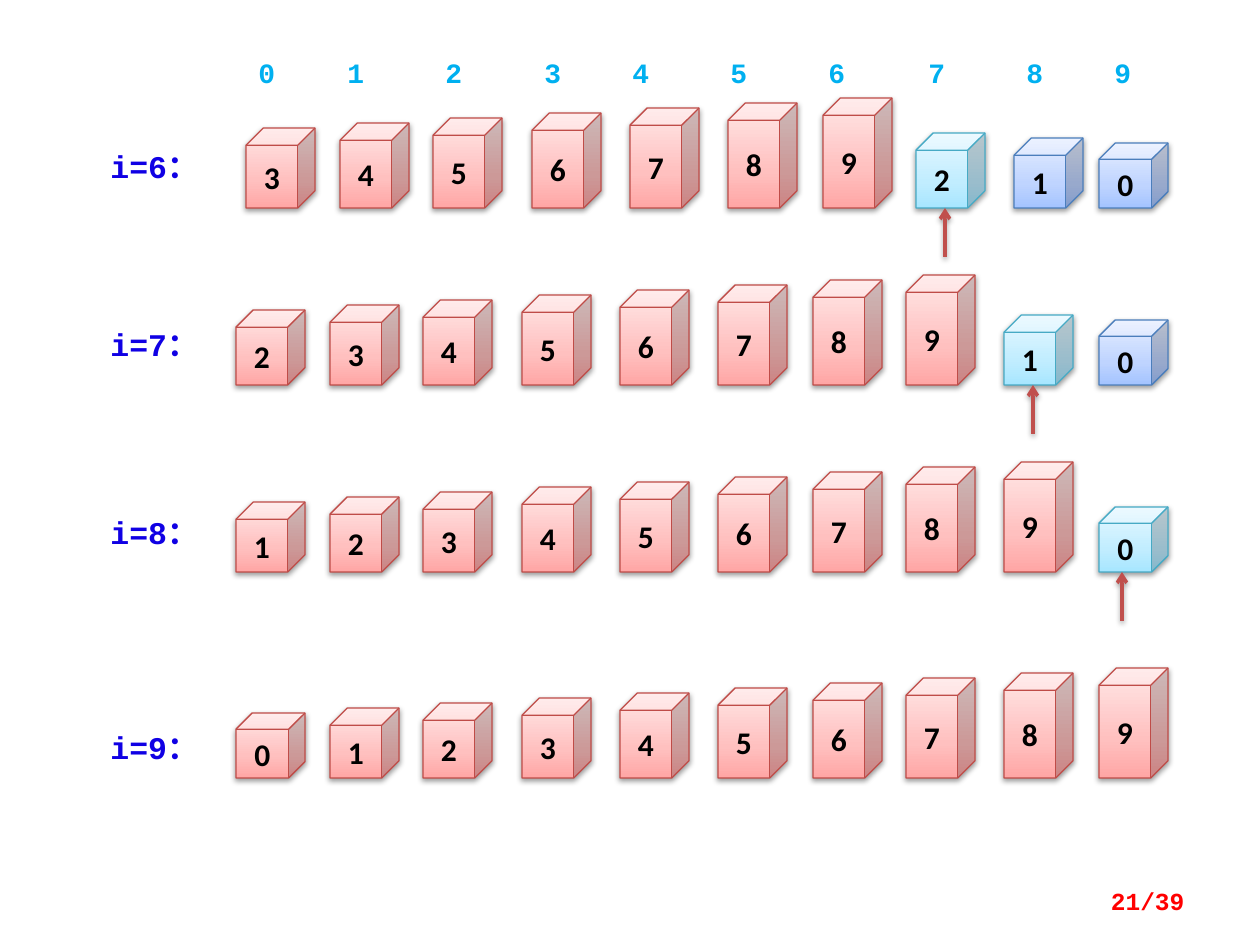
from dataclasses import dataclass

from pptx import Presentation
from pptx.dml.color import RGBColor
from pptx.enum.shapes import MSO_CONNECTOR, MSO_SHAPE
from pptx.enum.text import MSO_ANCHOR, MSO_AUTO_SIZE, PP_ALIGN
from pptx.oxml import parse_xml
from pptx.oxml.ns import nsdecls
from pptx.slide import Slide
from pptx.text.text import TextFrame
from pptx.util import Emu, Pt

EMU_PER_PX = 914400 / 126
COLORS = {
    "index": "00B0F0",
    "label": "1000E4",
    "digit": "000000",
    "page_number": "FF0000",
    "arrow": "C0504D",
    "shadow": "000000",
}
CUBE_COLORS = {
    "sorted": {"line": "BF4C48", "stops": ("FFA6A5", "FFC0BF", "FFE7E7")},
    "current": {"line": "46AAC5", "stops": ("A7E6FF", "C1EDFF", "E7F8FF")},
    "waiting": {"line": "4B7EBC", "stops": ("A4C4FF", "BFD4FF", "E6EEFF")},
}
STOP_PERCENTS = (0, 35, 100)
INDEX_LEFTS = (246, 335, 433, 532, 620, 718, 816, 916, 1014, 1102)
CUBE_LEFTS = (236, 330, 423, 522, 620, 718, 813, 906, 1004, 1099)
SHIFTED_LEFTS = tuple(left + 10 for left in CUBE_LEFTS[:-1]) + CUBE_LEFTS[-1:]
CUBE_WIDTH = 69
SMALLEST_HEIGHT = 65
HEIGHT_STEP = 5
ARROW_LENGTH = 49


@dataclass(frozen=True)
class Pass:
    step: int
    label_top: int
    baseline: int
    lefts: tuple[int, ...] = CUBE_LEFTS
    arrow_left: int | None = None


PASSES = (
    Pass(6, 141, 208, SHIFTED_LEFTS, 945),
    Pass(7, 319, 385, arrow_left=1033),
    Pass(8, 507, 572, arrow_left=1122),
    Pass(9, 722, 778),
)


def px(length: int) -> Emu:
    """Turn pixels into EMU."""
    return Emu(round(length * EMU_PER_PX))


def write_text(frame: TextFrame, text: str, *, size: int, color: str,
               font: str = "Courier New", align: PP_ALIGN = PP_ALIGN.LEFT,
               anchor: MSO_ANCHOR = MSO_ANCHOR.TOP, grow: bool = False) -> None:
    """Fill a text frame with one bold, formatted line."""
    frame.word_wrap = True
    frame.vertical_anchor = anchor
    frame.auto_size = MSO_AUTO_SIZE.SHAPE_TO_FIT_TEXT if grow else MSO_AUTO_SIZE.NONE
    para = frame.paragraphs[0]
    para.alignment = align
    span = para.add_run()
    span.text = text
    span.font.name = font
    span.font.size = Pt(size)
    span.font.bold = True
    span.font.color.rgb = RGBColor.from_string(COLORS[color])


def add_box(page: Slide, left: int, top: int, width: int, height: int) -> TextFrame:
    """Add a text box and return its frame."""
    return page.shapes.add_textbox(px(left), px(top), px(width), px(height)).text_frame


def add_shadow(properties) -> None:
    """Append a soft downward shadow to shape properties."""
    properties.append(parse_xml(
        f'<a:effectLst {nsdecls("a")}><a:outerShdw blurRad="40000" dist="20000" '
        f'dir="5400000" rotWithShape="0"><a:srgbClr val="{COLORS["shadow"]}">'
        '<a:alpha val="38000"/></a:srgbClr></a:outerShdw></a:effectLst>'))


def draw_cube(page: Slide, value: int, left: int, baseline: int, state: str) -> None:
    """Draw a cube whose height follows its value."""
    height = SMALLEST_HEIGHT + HEIGHT_STEP * value
    cube = page.shapes.add_shape(MSO_SHAPE.CUBE, px(left), px(baseline - height),
                                 px(CUBE_WIDTH), px(height))
    colors = CUBE_COLORS[state]
    stops = "".join(f'<a:gs pos="{percent * 1000}"><a:srgbClr val="{color}"/></a:gs>'
                    for percent, color in zip(STOP_PERCENTS, colors["stops"]))
    properties = cube._element.spPr
    properties.append(parse_xml(
        f'<a:gradFill {nsdecls("a")} rotWithShape="1"><a:gsLst>{stops}</a:gsLst>'
        '<a:lin ang="16200000" scaled="0"/></a:gradFill>'))
    cube.line.color.rgb = RGBColor.from_string(colors["line"])
    cube.line.width = Pt(0.75)
    add_shadow(properties)
    write_text(cube.text_frame, str(value), size=18, color="digit", font="Calibri",
               align=PP_ALIGN.CENTER, anchor=MSO_ANCHOR.MIDDLE)


def draw_arrow(page: Slide, left: int, tip: int) -> None:
    """Draw an upward arrow ending at the tip."""
    arrow = page.shapes.add_connector(MSO_CONNECTOR.STRAIGHT, px(left),
                                      px(tip + ARROW_LENGTH), px(left), px(tip))
    arrow.line.color.rgb = RGBColor.from_string(COLORS["arrow"])
    arrow.line.width = Pt(2)
    properties = arrow._element.spPr
    arrow.line._ln.append(parse_xml(f'<a:tailEnd {nsdecls("a")} type="arrow"/>'))
    add_shadow(properties)


def draw_pass(page: Slide, row: Pass) -> None:
    """Draw the label, cubes and pointer of one sorting pass."""
    write_text(add_box(page, 98, row.label_top, 118, 50), f"i={row.step}：",
               size=18, color="label", grow=True)
    smallest = 9 - row.step
    values = [*range(smallest, 10), *reversed(range(smallest))]
    for position, (value, left) in enumerate(zip(values, row.lefts)):
        if position <= row.step:
            state = "sorted"
        else:
            state = "current" if position == row.step + 1 else "waiting"
        draw_cube(page, value, left, row.baseline, state)
    if row.arrow_left is not None:
        draw_arrow(page, row.arrow_left, row.baseline)


def main() -> None:
    """Build and save the insertion sort slide."""
    deck = Presentation()
    deck.slide_width, deck.slide_height = px(1260), px(945)
    page = deck.slides.add_slide(deck.slide_layouts[6])
    for index, left in enumerate(INDEX_LEFTS):
        write_text(add_box(page, left, 49, 49, 47), str(index),
                   size=16, color="index", grow=True)
    for row in PASSES:
        draw_pass(page, row)
    write_text(add_box(page, 903, 876, 294, 50), "21/39", size=14, color="page_number",
               align=PP_ALIGN.RIGHT, anchor=MSO_ANCHOR.MIDDLE)
    deck.save("out.pptx")


if __name__ == "__main__":
    main()
